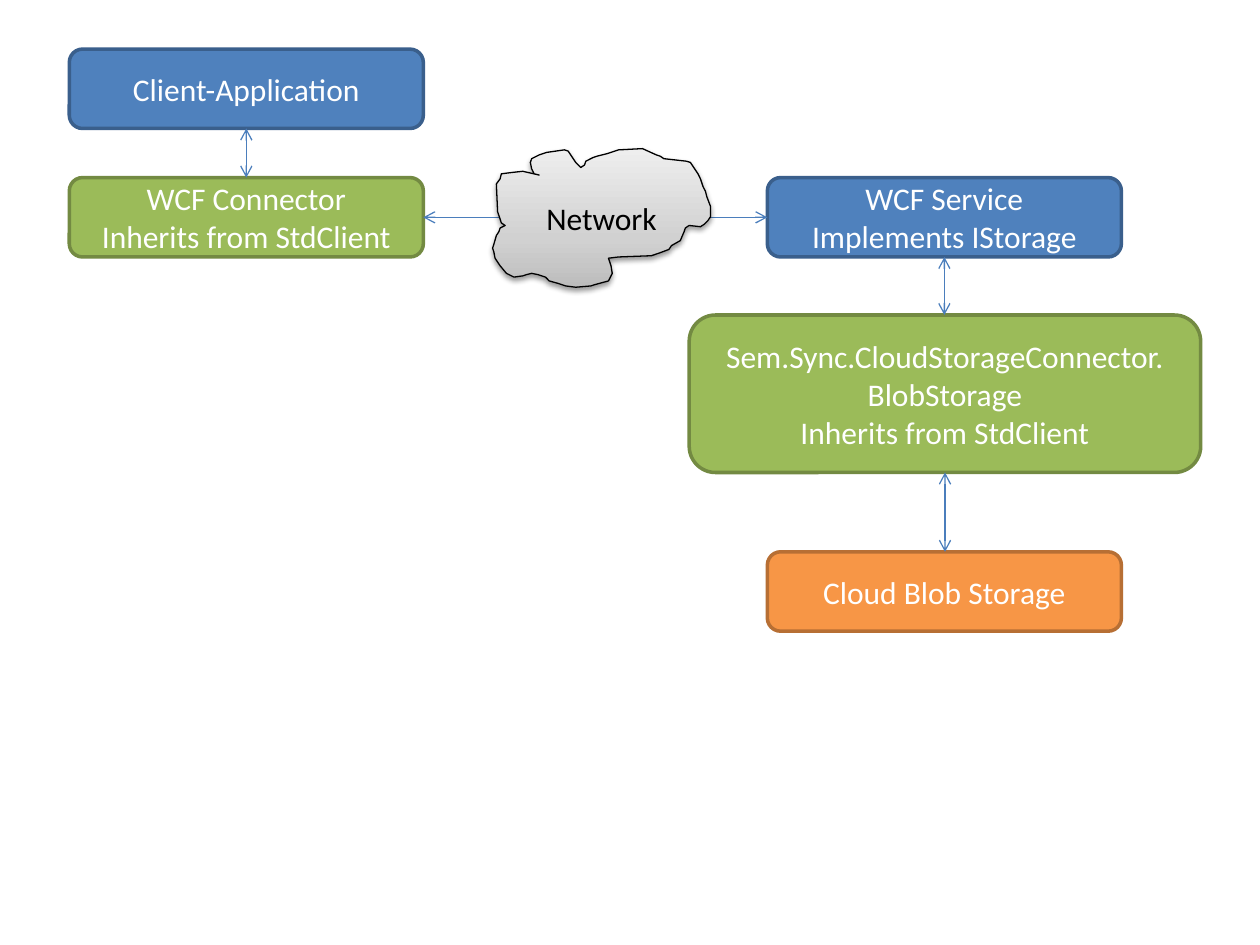
from lxml.etree import SubElement
from pptx import Presentation
from pptx.dml.color import RGBColor
from pptx.enum.shapes import MSO_CONNECTOR, MSO_SHAPE
from pptx.enum.text import MSO_ANCHOR, PP_ALIGN
from pptx.oxml.ns import qn
from pptx.util import Inches, Pt

COLORS = {
    "blue": "4F81BD", "blue_edge": "3A5F8C",
    "green": "9BBB59", "green_edge": "738A42",
    "orange": "F79646", "orange_edge": "B76F34",
    "arrow": "4B7EBC", "white": "FFFFFF", "black": "000000",
    "cloud_low": "BDBDBD", "cloud_middle": "D1D1D1", "cloud_high": "EEEEEE",
}
CLOUD_OUTLINE = [
    (37, 22), (24, 19), (15, 20), (7, 21), (6, 25), (3, 29), (4, 51),
    (6, 57), (7, 60), (10, 62), (6, 64), (5, 67), (3, 70), (1, 77),
    (0, 80), (1, 83), (2, 88), (6, 94), (11, 100), (17, 103), (24, 102),
    (27, 101), (31, 100), (36, 101), (42, 103), (45, 106), (52, 108),
    (58, 110), (66, 111), (78, 110), (81, 109), (92, 106), (95, 100),
    (94, 94), (92, 88), (100, 87), (126, 86), (132, 84), (140, 81),
    (142, 78), (149, 74), (152, 67), (153, 64), (156, 62), (165, 63),
    (168, 61), (171, 58), (173, 55), (173, 47), (170, 39), (169, 35),
    (167, 31), (165, 25), (163, 21), (159, 15), (157, 12), (154, 11),
    (136, 9), (133, 7), (130, 6), (119, 1), (100, 2), (91, 5), (83, 7),
    (80, 8), (74, 11), (73, 14), (70, 16), (66, 12), (62, 6), (60, 3),
    (57, 2), (43, 4), (37, 6), (31, 9), (30, 12), (31, 17), (33, 21),
]


def color(name):
    """Return the named colour."""
    return RGBColor.from_string(COLORS[name])


def add_label(shape, lines, color_name):
    """Write centred lines into a shape."""
    frame = shape.text_frame
    frame.word_wrap = True
    frame.vertical_anchor = MSO_ANCHOR.MIDDLE
    for index, line in enumerate(lines):
        para = frame.paragraphs[0] if index == 0 else frame.add_paragraph()
        para.alignment = PP_ALIGN.CENTER
        span = para.add_run()
        span.text = line
        span.font.name = "Calibri"
        span.font.size = Pt(18)
        span.font.color.rgb = color(color_name)


def add_component(page, box, color_name, lines):
    """Draw a rounded component with its label."""
    shape = page.shapes.add_shape(MSO_SHAPE.ROUNDED_RECTANGLE, *map(Inches, box))
    shape.shadow.inherit = False
    shape.fill.solid()
    shape.fill.fore_color.rgb = color(color_name)
    shape.line.color.rgb = color(color_name + "_edge")
    shape.line.width = Pt(2)
    add_label(shape, lines, "white")


def add_arrow(page, start, end):
    """Draw a thin arrow with a head at both ends."""
    arrow = page.shapes.add_connector(MSO_CONNECTOR.STRAIGHT, *map(Inches, start + end))
    arrow.line.color.rgb = color("arrow")
    arrow.line.width = Pt(0.75)
    outline = arrow.line._get_or_add_ln()
    for tag in ("a:headEnd", "a:tailEnd"):
        SubElement(outline, qn(tag), type="arrow")
    SubElement(arrow._element.spPr, qn("a:effectLst"))


def add_down_arrow(page, upper, lower):
    """Join two stacked boxes through the centre of the upper one."""
    center = upper[0] + upper[2] / 2
    add_arrow(page, (center, upper[1] + upper[3]), (center, lower[1]))


def add_side_arrow(page, left, right):
    """Join two boxes that stand side by side."""
    middle = left[1] + left[3] / 2
    add_arrow(page, (left[0] + left[2], middle), (right[0], middle))


def add_cloud(page, left, top, text):
    """Draw the shaded network cloud from its top left corner."""
    builder = page.shapes.build_freeform(*CLOUD_OUTLINE[0], scale=Inches(0.01))
    builder.add_line_segments(CLOUD_OUTLINE[1:], close=True)
    cloud = builder.convert_to_shape(Inches(left), Inches(top))
    cloud.line.color.rgb = color("black")
    cloud.line.width = Pt(0.75)
    cloud.fill.gradient()
    gradient = cloud._element.spPr.find(qn("a:gradFill"))
    for child in list(gradient):
        gradient.remove(child)
    stops = SubElement(gradient, qn("a:gsLst"))
    for position, name in ((0, "cloud_low"), (35, "cloud_middle"), (100, "cloud_high")):
        stop = SubElement(stops, qn("a:gs"), pos=str(position * 1000))
        SubElement(stop, qn("a:srgbClr"), val=COLORS[name])
    SubElement(gradient, qn("a:lin"), ang=str(270 * 60000), scaled="0")
    cloud.shadow.inherit = False
    effects = cloud._element.spPr.find(qn("a:effectLst"))
    shadow = SubElement(effects, qn("a:outerShdw"), blurRad=str(Pt(3.1)),
                        dist=str(Pt(1.6)), dir=str(90 * 60000), rotWithShape="0")
    shade = SubElement(shadow, qn("a:srgbClr"), val=COLORS["black"])
    SubElement(shade, qn("a:alpha"), val="38000")
    add_label(cloud, [text], "black")


def add_client_side(page, left, top):
    """Place the client stack and return the connector box."""
    client = (left, top, 2.81, 0.63)
    connector = (left, top + 1.02, 2.81, 0.63)
    add_component(page, connector, "green", ["WCF Connector", "Inherits from StdClient"])
    add_component(page, client, "blue", ["Client-Application"])
    add_down_arrow(page, client, connector)
    return connector


def add_server_side(page, left, top):
    """Place the server stack and return the service box."""
    service = (left + 0.62, top, 2.81, 0.63)
    blob_connector = (left, top + 1.09, 4.06, 1.25)
    storage = (left + 0.62, top + 2.97, 2.81, 0.63)
    add_component(page, service, "blue", ["WCF Service", "Implements IStorage"])
    add_component(page, blob_connector, "green", [
        "Sem.Sync.CloudStorageConnector. BlobStorage", "Inherits from StdClient"])
    add_component(page, storage, "orange", ["Cloud Blob Storage"])
    add_down_arrow(page, service, blob_connector)
    add_down_arrow(page, blob_connector, storage)
    return service


def build_deck():
    """Build and save the architecture slide."""
    deck = Presentation()
    deck.slide_width, deck.slide_height = Inches(10), Inches(7.5)
    page = deck.slides.add_slide(deck.slide_layouts[6])
    connector = add_client_side(page, 0.55, 0.39)
    service = add_server_side(page, 5.47, 1.41)
    add_side_arrow(page, connector, service)
    add_cloud(page, 3.91, 1.17, "Network")
    deck.save("out.pptx")


build_deck()
